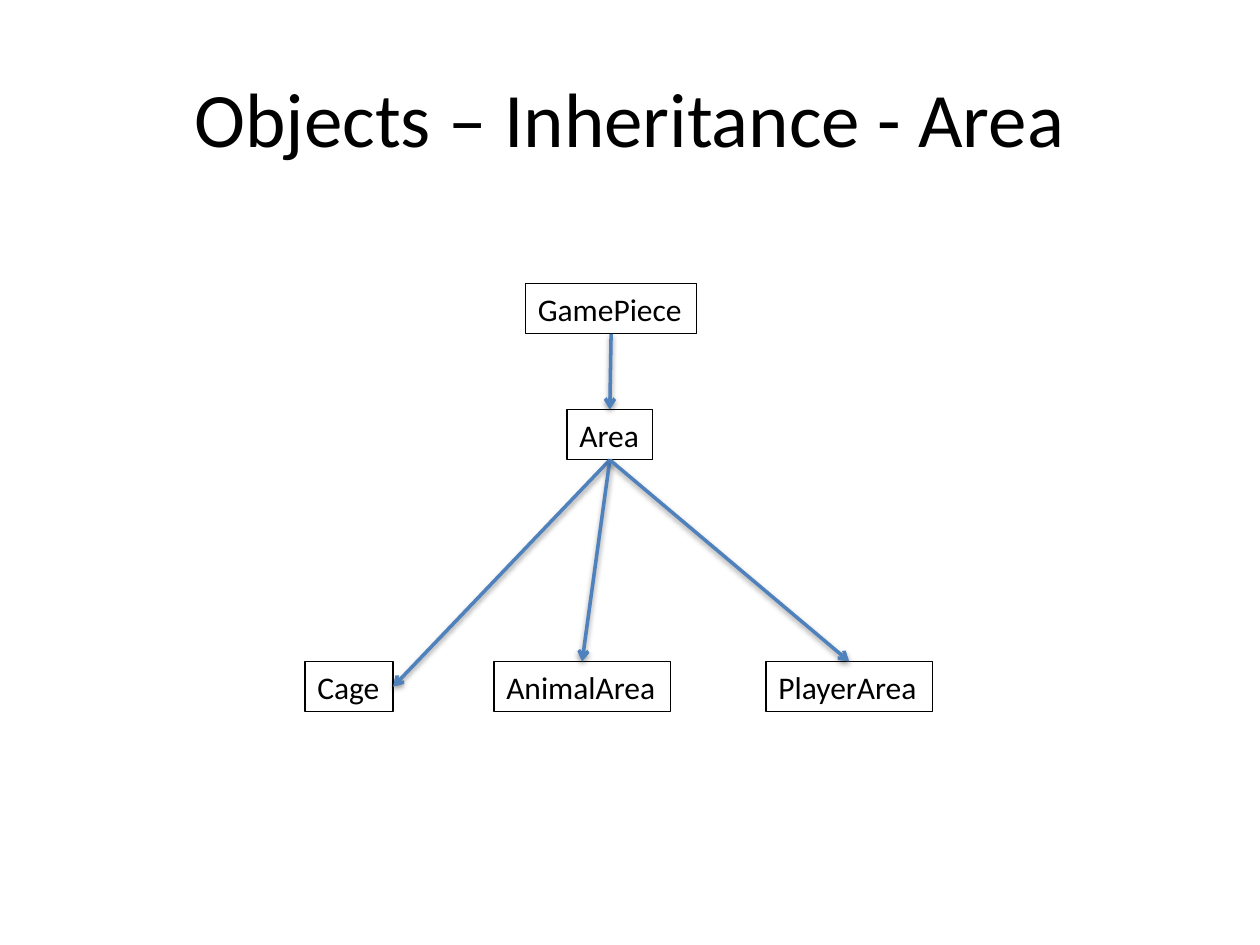
from dataclasses import dataclass

from lxml import etree
from pptx import Presentation
from pptx import util as u
from pptx.dml.color import RGBColor
from pptx.enum import shapes, text
from pptx.oxml import ns


@dataclass(frozen=True)
class Theme:
    font: str = "Calibri"
    ink: str = "000000"
    paper: str = "FFFFFF"
    arrow: str = "4F81BD"
    title: int = 44
    label: int = 18
    edge: float = 0.75
    link: float = 2


THEME = Theme()
COLS, ROWS = 10, 7.5
CELL = u.Inches(1)
BOX_ROWS = 0.4
TOP, BOTTOM, RIGHT = 0, 2, 3

BOXES = {
    "GamePiece": (4.17, 2.25, 1.36),
    "Area": (4.5, 3.25, 0.68),
    "Cage": (2.42, 5.25, 0.7),
    "AnimalArea": (3.92, 5.25, 1.4),
    "PlayerArea": (6.08, 5.25, 1.32),
}
LINKS = [
    ("GamePiece", "Area", TOP),
    ("Area", "Cage", RIGHT),
    ("Area", "AnimalArea", TOP),
    ("Area", "PlayerArea", TOP),
]


def grid(*cells):
    return [round(cell * CELL) for cell in cells]


def color(code):
    return RGBColor.from_string(code)


def write(frame, words, size, align):
    frame.text = words
    para = frame.paragraphs[0]
    para.alignment = align
    font = para.runs[0].font
    font.name, font.size = THEME.font, u.Pt(size)
    font.color.rgb = color(THEME.ink)


def add_title(slide, words):
    frame = slide.shapes.add_textbox(*grid(0.5, 0.3, COLS - 1, 1.25)).text_frame
    frame.word_wrap = True
    frame.vertical_anchor = text.MSO_ANCHOR.MIDDLE
    write(frame, words, THEME.title, text.PP_ALIGN.CENTER)


def add_box(slide, name, col, row, wide):
    box = slide.shapes.add_shape(
        shapes.MSO_SHAPE.RECTANGLE, *grid(col, row, wide, BOX_ROWS))
    box.shadow.inherit = False
    box.fill.background()
    box.line.color.rgb = color(THEME.ink)
    box.line.width = u.Pt(THEME.edge)
    frame = box.text_frame
    frame.word_wrap = False
    frame.auto_size = text.MSO_AUTO_SIZE.SHAPE_TO_FIT_TEXT
    frame.vertical_anchor = text.MSO_ANCHOR.TOP
    write(frame, name, THEME.label, text.PP_ALIGN.LEFT)
    return box


def add_child(parent, tag, **attrs):
    return etree.SubElement(parent, ns.qn(tag), attrs)


def add_shade(link):
    effects = add_child(link._element.spPr, "a:effectLst")
    shade = add_child(effects, "a:outerShdw", blurRad="40000", dist="20000",
                      dir="5400000", rotWithShape="0")
    tint = add_child(shade, "a:srgbClr", val=THEME.ink)
    add_child(tint, "a:alpha", val="38000")


def add_link(slide, start, end, side):
    link = slide.shapes.add_connector(
        shapes.MSO_CONNECTOR.STRAIGHT, 0, 0, 0, 0)
    link.begin_connect(start, BOTTOM)
    link.end_connect(end, side)
    link.line.color.rgb = color(THEME.arrow)
    link.line.width = u.Pt(THEME.link)
    add_child(link.line._get_or_add_ln(), "a:tailEnd", type="arrow")
    add_shade(link)


def main():
    deck = Presentation()
    deck.slide_width, deck.slide_height = grid(COLS, ROWS)
    slide = deck.slides.add_slide(deck.slide_layouts[6])
    slide.background.fill.solid()
    slide.background.fill.fore_color.rgb = color(THEME.paper)
    add_title(slide, "Objects – Inheritance - Area")
    boxes = {name: add_box(slide, name, *place)
             for name, place in BOXES.items()}
    for start, end, side in LINKS:
        add_link(slide, boxes[start], boxes[end], side)
    deck.save("out.pptx")


if __name__ == "__main__":
    main()
